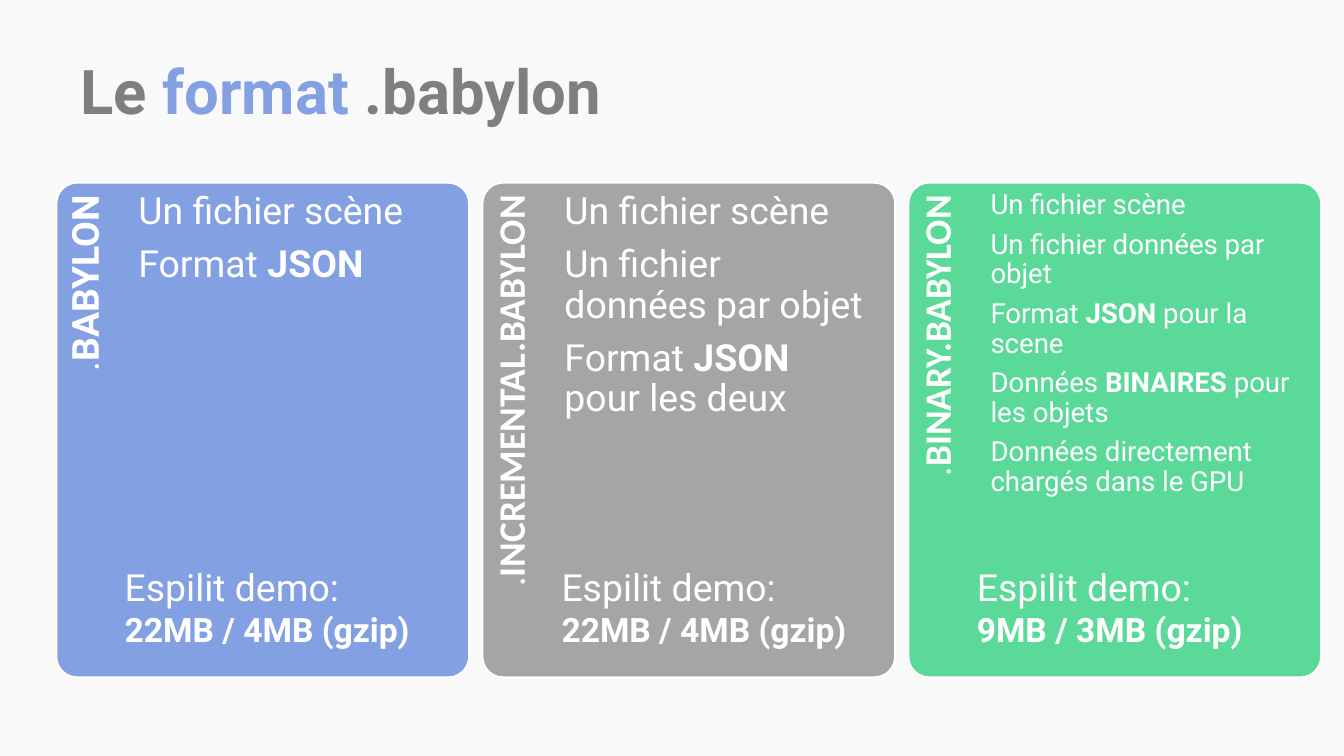
from pptx import Presentation
from pptx.dml.color import RGBColor
from pptx.enum import shapes, text
from pptx.util import Inches, Pt

WHITE = RGBColor(0xFF, 0xFF, 0xFF)
PAPER = RGBColor(0xF9, 0xF9, 0xF9)
DARK = RGBColor(0x7F, 0x7F, 0x7F)
BLUE = RGBColor(0x82, 0xA0, 0xE2)
GRAY = RGBColor(0xA5, 0xA5, 0xA5)
GREEN = RGBColor(0x5B, 0xD9, 0x99)

TOP, WIDE, HIGH, STEP = 1.36, 3.07, 3.68, 3.17

# Fill, label font, label, text size, top inset, lines, demo left, demo sizes.
# Text between asterisks is bold.
CARDS = [
    (BLUE, "Roboto", ".*BABYLON*", 20, 0.07,
     ["Un fichier scène", "Format* JSON*"],
     0.83, "22MB / 4MB (gzip)"),
    (GRAY, "Calibri", ".*INCREMENTAL.BABYLON*", 20, 0.07,
     ["Un fichier scène", "Un fichier données par objet",
      "Format *JSON* pour les deux"],
     4.08, "22MB / 4MB (gzip)"),
    (GREEN, "Calibri", ".*BINARY.BABYLON*", 14.8, 0.06,
     ["Un fichier scène", "Un fichier données par objet",
      "Format *JSON* pour la scene", "Données *BINAIRES* pour les objets",
      "Données directement chargés dans le GPU"],
     7.17, "9MB / 3MB (gzip)"),
]


def add_run(para, words, size, color=WHITE, bold=False, face="Roboto"):
    run = para.add_run()
    run.text = words
    style = {"name": face, "size": Pt(size), "bold": bold}
    for key, value in style.items():
        setattr(run.font, key, value)
    run.font.color.rgb = color


def add_lines(parent, place, lines, size, inset, right=0, face="Roboto"):
    """Add a text box with one paragraph per line, bold between asterisks."""
    box = parent.add_textbox(*map(Inches, place))
    frame = box.text_frame
    style = {"word_wrap": True, "margin_left": 0, "margin_top": Inches(inset),
             "margin_right": Inches(right), "margin_bottom": 0}
    for key, value in style.items():
        setattr(frame, key, value)
    for i, line in enumerate(lines):
        para = frame.add_paragraph() if i else frame.paragraphs[0]
        para.line_spacing = 0.9
        para.space_after = Pt(round(0.35 * size, 1))
        for j, part in enumerate(line.split("*")):
            if part:
                add_run(para, part, size, bold=j % 2 == 1, face=face)
    return box


deck = Presentation()
deck.slide_width = Inches(10)
deck.slide_height = deck.slide_width * 9 // 16
slide = deck.slides.add_slide(deck.slide_layouts[5])
slide.background.fill.solid()
slide.background.fill.fore_color.rgb = PAPER

group = slide.shapes.add_group_shape().shapes
for i, (fill, face, label, size, inset, lines, _, _) in enumerate(CARDS):
    left = 0.42 + i * STEP
    card = group.add_shape(shapes.MSO_SHAPE.ROUNDED_RECTANGLE,
                           *map(Inches, (left, TOP, WIDE, HIGH)))
    card.adjustments[0] = 0.05
    card.shadow.inherit = False
    card.fill.solid()
    card.fill.fore_color.rgb = fill
    card.line.color.rgb = WHITE
    card.line.width = Pt(1)

    side = add_lines(group, (left - 1.2, 2.56, 3.02, 0.61), [label],
                     20, 0.07, right=0.1, face=face)
    side.rotation = 270
    side.text_frame.paragraphs[0].alignment = text.PP_ALIGN.RIGHT
    add_lines(group, (left + 0.61, TOP, 2.28, HIGH), lines, size, inset)

for *_, left, sizes in CARDS:
    demo = slide.shapes.add_textbox(*map(Inches, (left, 4.15, 2.5, 0.77)))
    demo.text_frame.word_wrap = True
    demo.text_frame.auto_size = text.MSO_AUTO_SIZE.SHAPE_TO_FIT_TEXT
    para = demo.text_frame.paragraphs[0]
    add_run(para, "Espilit demo:", 20)
    para.add_line_break()
    add_run(para, sizes, 18, bold=True)

title = slide.shapes.title
spot = {"left": 0.5, "top": 0.23, "width": 9, "height": 0.94}
for key, value in spot.items():
    setattr(title, key, Inches(value))
frame = title.text_frame
frame.auto_size = text.MSO_AUTO_SIZE.NONE
frame.vertical_anchor = text.MSO_ANCHOR.MIDDLE
para = frame.paragraphs[0]
para.alignment = text.PP_ALIGN.LEFT
para.line_spacing = 0.9
for words, color in [("Le ", DARK), ("format", BLUE), (" .babylon", DARK)]:
    add_run(para, words, 33, color, bold=True)

deck.save("out.pptx")
